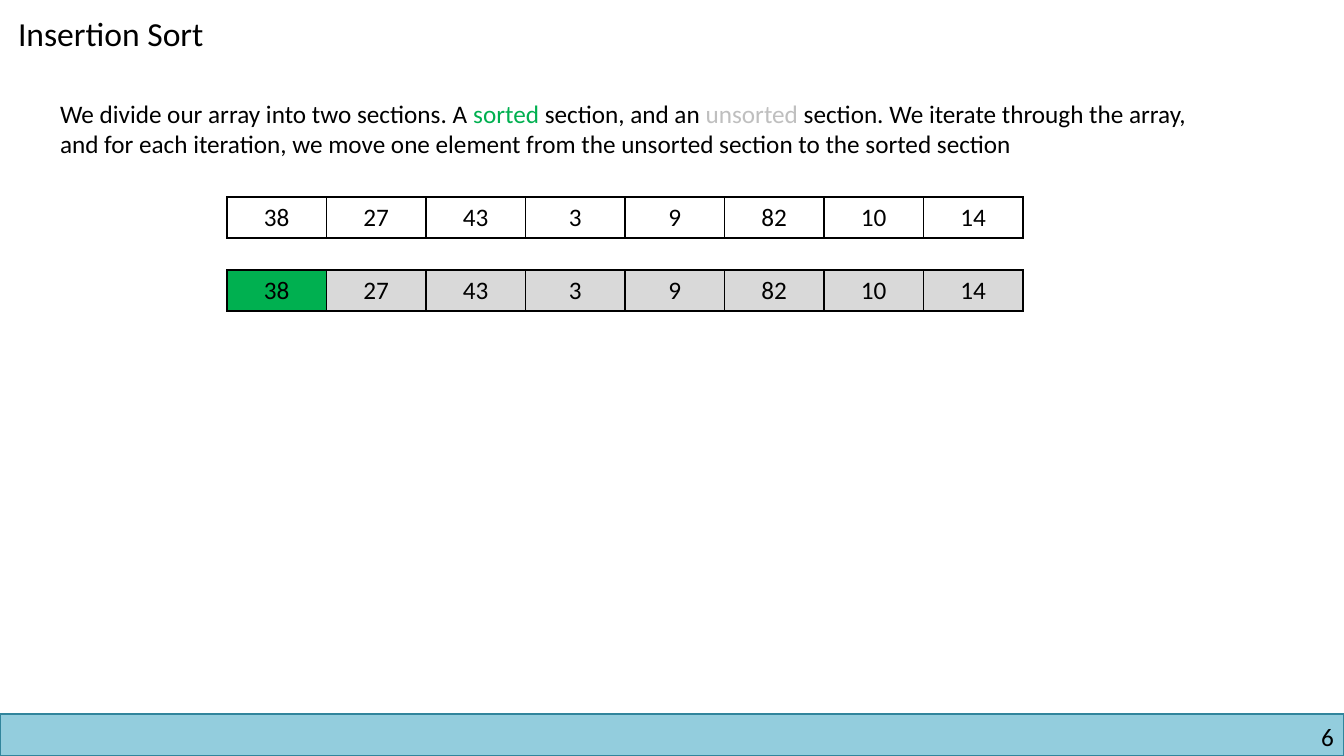
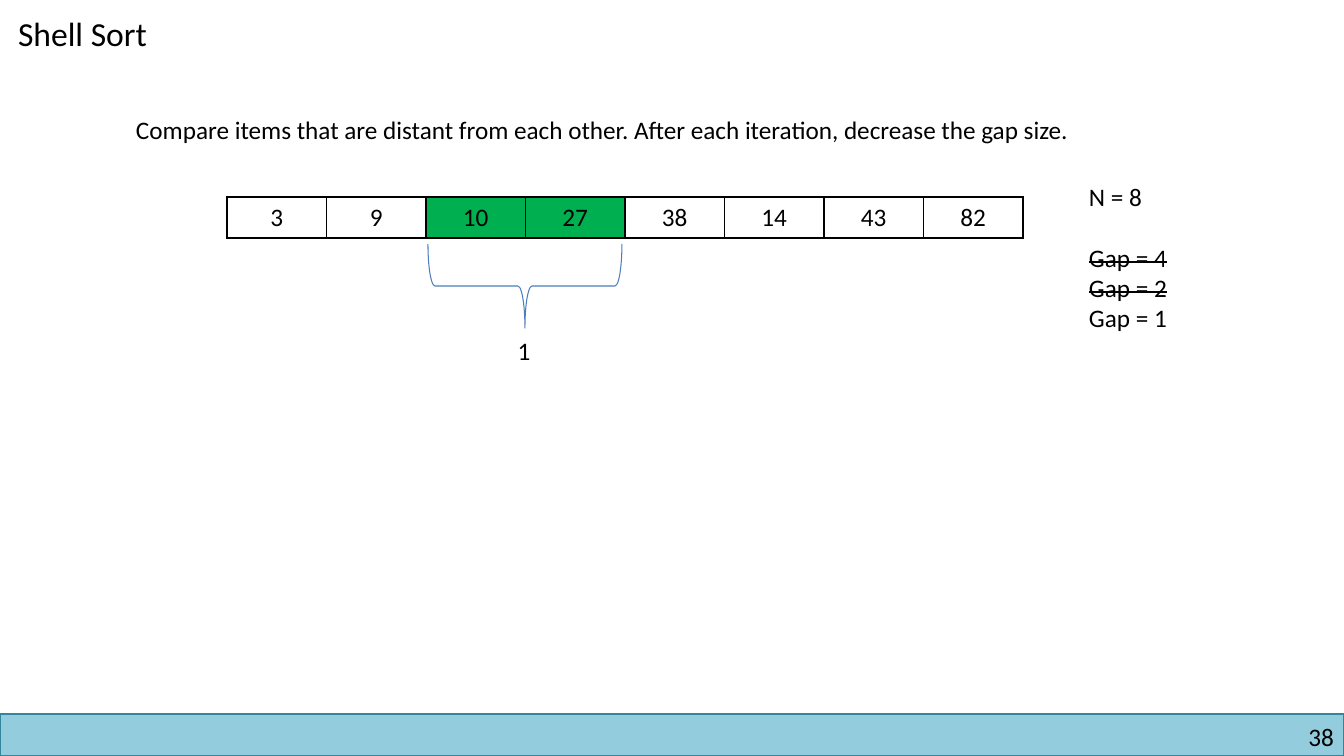
from lxml.etree import SubElement
from pptx import Presentation
from pptx.dml.color import RGBColor
from pptx.enum.shapes import MSO_SHAPE as Preset
from pptx.enum.text import MSO_ANCHOR as Anchor, MSO_AUTO_SIZE as AutoSize, PP_ALIGN as Align
from pptx.oxml.ns import qn
from pptx.util import Emu, Pt

SLIDE_WIDTH, SLIDE_HEIGHT = 1344, 756
EMU_PER_PX = 12192000 / SLIDE_WIDTH

FONT = "Calibri"
BLACK, WHITE = "000000", "FFFFFF"
GREEN, GREY, PALE_GREY = "00B050", "BFBFBF", "D9D9D9"
BAND_FILL, BAND_LINE, BRACE_LINE = "93CDDD", "31859C", "4B7EBC"

TITLE_BOX = (8, 8, 1000, 50)
BAND_BOX = (0, 714, SLIDE_WIDTH, 42)
ARRAY_BOX = (227, 197, 796, 41)
SECTIONS_BOX = (227, 270, 796, 41)
INSET_X, INSET_Y = 10, 5


def px(length):
    return Emu(round(length * EMU_PER_PX))


def color(value):
    return RGBColor.from_string(value)


def apply(target, formats):
    for name, value in formats.items():
        setattr(target, name, value)


def place(shape, box):
    apply(shape, dict(zip(("left", "top", "width", "height"), map(px, box))))


def format_frame(frame, inset_x=INSET_X, inset_y=INSET_Y):
    apply(frame, {
        "word_wrap": True,
        "auto_size": AutoSize.NONE,
        "vertical_anchor": Anchor.TOP,
        "margin_left": px(inset_x),
        "margin_right": px(inset_x),
        "margin_top": px(inset_y),
        "margin_bottom": px(inset_y),
    })


def add_run(paragraph, text, size=18, fill=BLACK, strike=False):
    run = paragraph.add_run()
    run.text = text
    apply(run.font, {"name": FONT, "size": Pt(size)})
    run.font.color.rgb = color(fill)
    if strike:
        run.font._element.set("strike", "sngStrike")


def add_text(slide, box, lines, align=Align.LEFT, **insets):
    frame = slide.shapes.add_textbox(*map(px, box)).text_frame
    format_frame(frame, **insets)
    for index, (text, run_formats, paragraph_formats) in enumerate(lines):
        paragraph = frame.add_paragraph() if index else frame.paragraphs[0]
        apply(paragraph, {"alignment": align, **paragraph_formats})
        add_run(paragraph, text, **run_formats)


def fill_placeholder(shape, box, runs, size=18):
    place(shape, box)
    format_frame(shape.text_frame)
    paragraph = shape.text_frame.paragraphs[0]
    properties = paragraph._p.get_or_add_pPr()
    apply(paragraph, {"alignment": Align.LEFT, "space_before": Pt(0)})
    properties.set("marL", "0")
    properties.set("indent", "0")
    SubElement(properties, qn("a:buNone"))
    for text, fill in runs:
        add_run(paragraph, text, size, fill)


def add_band(slide, box, number):
    left, top, width, height = box
    band = slide.shapes.add_shape(Preset.RECTANGLE, *map(px, box))
    band.shadow.inherit = False
    band.fill.solid()
    band.fill.fore_color.rgb = color(BAND_FILL)
    band.line.color.rgb = color(BAND_LINE)
    band.line.width = Pt(1)
    number_box = (left + width - 320, top + 7, 310, 30)
    add_text(slide, number_box, [(number, {}, {})], Align.RIGHT, inset_x=0, inset_y=0)


def add_page(presentation, title, number, description_box, description):
    slide = presentation.slides.add_slide(presentation.slide_layouts[1])
    fill_placeholder(slide.shapes.title, TITLE_BOX, [(title, BLACK)], 24)
    fill_placeholder(slide.placeholders[1], description_box, description)
    add_band(slide, BAND_BOX, number)
    return slide


def add_cell_borders(cell):
    properties = cell._tc.get_or_add_tcPr()
    for side in ("lnL", "lnR", "lnT", "lnB"):
        line = SubElement(properties, qn(f"a:{side}"), w=str(Pt(1)))
        fill = SubElement(line, qn("a:solidFill"))
        SubElement(fill, qn("a:srgbClr"), val=BLACK)


def add_array(slide, box, values, base_fill=WHITE, highlighted=()):
    table = slide.shapes.add_table(1, len(values), *map(px, box)).table
    apply(table, {"first_row": False, "horz_banding": False})
    for index, value in enumerate(values):
        table.columns[index].width = px(box[2] / len(values))
        cell = table.cell(0, index)
        add_cell_borders(cell)
        cell.fill.solid()
        cell.fill.fore_color.rgb = color(GREEN if index in highlighted else base_fill)
        paragraph = cell.text_frame.paragraphs[0]
        paragraph.alignment = Align.CENTER
        add_run(paragraph, str(value))


def add_gap_brace(slide, box, label):
    left, top, width, height = box
    center_x, center_y = left + width / 2, top + height / 2
    brace = slide.shapes.add_shape(
        Preset.LEFT_BRACE,
        *map(px, (center_x - height / 2, center_y - width / 2, height, width)),
    )
    brace.rotation = 270
    brace.shadow.inherit = False
    brace.fill.background()
    brace.line.color.rgb = color(BRACE_LINE)
    brace.line.width = Pt(0.75)
    add_text(slide, (center_x - 18, top + height + 2, 34, 40), [(label, {}, {})], Align.CENTER)


def add_gap_list(slide, box):
    add_text(slide, box, [
        ("N = 8", {}, {"space_after": Pt(22)}),
        ("Gap = 4", {"strike": True}, {}),
        ("Gap = 2", {"strike": True}, {}),
        ("Gap = 1", {}, {}),
    ])


def build_insertion_sort(presentation):
    slide = add_page(presentation, "Insertion Sort", "6", (50, 93, 1184, 72), [
        ("We divide our array into two sections. A ", BLACK),
        ("sorted", GREEN),
        (" section, and an ", BLACK),
        ("unsorted", GREY),
        (" section. We iterate through the array, and for each iteration, we move "
         "one element from the unsorted section to the sorted section", BLACK),
    ])
    values = (38, 27, 43, 3, 9, 82, 10, 14)
    add_array(slide, ARRAY_BOX, values)
    add_array(slide, SECTIONS_BOX, values, PALE_GREY, highlighted=(0,))


def build_shell_sort(presentation):
    slide = add_page(presentation, "Shell Sort", "38", (126, 109, 1044, 40), [
        ("Compare items that are distant from each other. "
         "After each iteration, decrease the gap size.", BLACK),
    ])
    add_array(slide, ARRAY_BOX, (3, 9, 10, 27, 38, 14, 43, 82), highlighted=(2, 3))
    add_gap_list(slide, (1079, 176, 112, 163))
    add_gap_brace(slide, (428, 244, 194, 84), "1")


def main():
    presentation = Presentation()
    apply(presentation, {"slide_width": px(SLIDE_WIDTH), "slide_height": px(SLIDE_HEIGHT)})
    build_insertion_sort(presentation)
    build_shell_sort(presentation)
    presentation.save("out.pptx")


if __name__ == "__main__":
    main()
